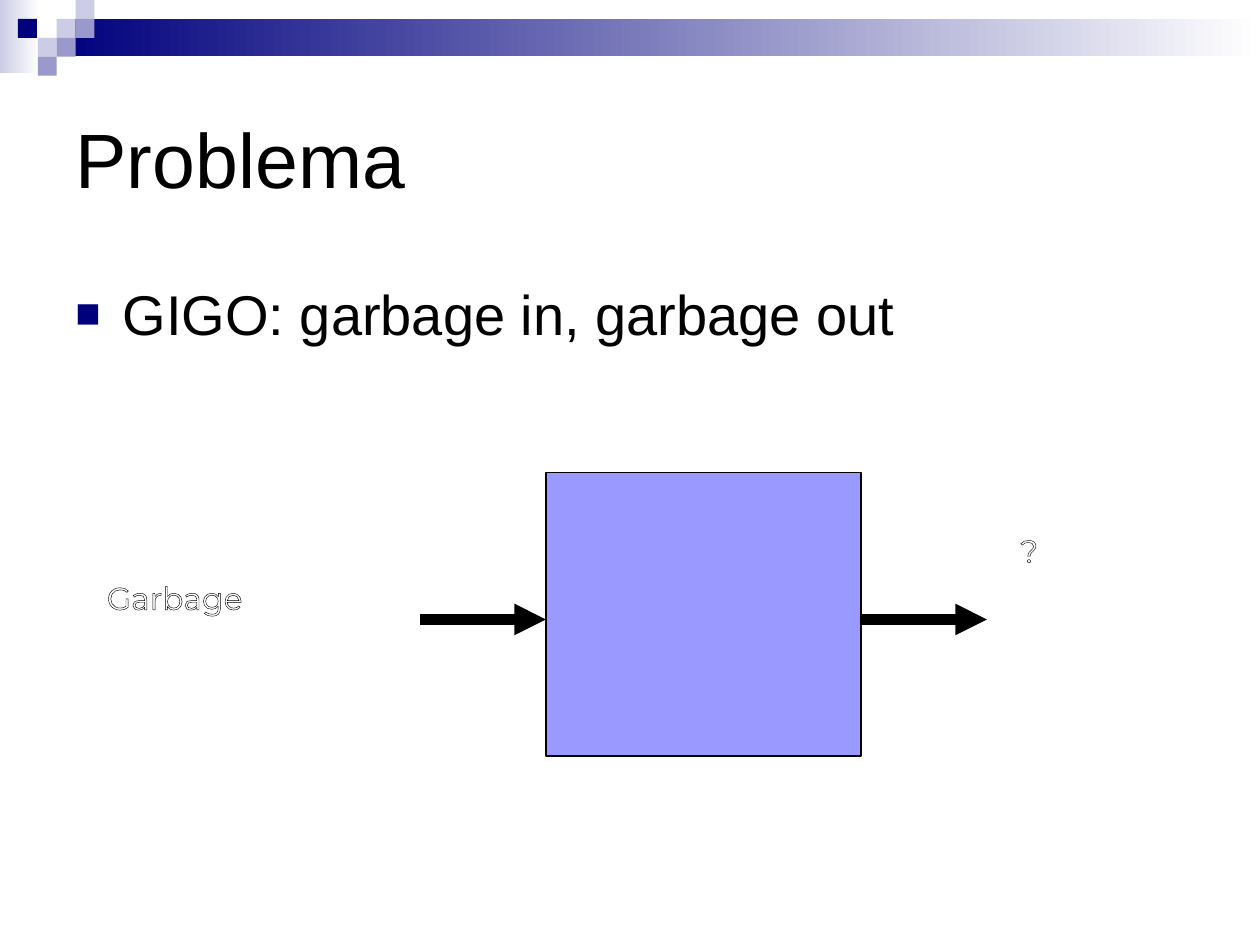
from dataclasses import dataclass

from lxml.etree import SubElement as Sub
from pptx import Presentation
from pptx.dml.color import RGBColor as Rgb
from pptx.enum.shapes import MSO_CONNECTOR as Conn, MSO_SHAPE as Kind
from pptx.enum.text import MSO_ANCHOR as Anchor, PP_ALIGN as Align
from pptx.oxml.ns import qn
from pptx.util import Pt


@dataclass(frozen=True)
class Theme:
    navy: str = "00007D"
    mid: str = "9999CC"
    pale: str = "CCCCE6"
    box: str = "9999FF"
    black: str = "000000"
    white: str = "FFFFFF"
    font: str = "Arial"
    label: str = "Montserrat"
    head: int = 44
    body: int = 32
    small: int = 18


THEME = Theme()


def rgb(code):
    return Rgb.from_string(code)


def add_rect(slide, area, fill, fade=None, edge=None):
    """Add a rectangle, fading from left to right if fade is given."""
    rect = slide.shapes.add_shape(Kind.RECTANGLE, *map(Pt, area))
    rect.shadow.inherit = False
    if fade:
        rect.fill.gradient()
        rect.fill.gradient_angle = 0
        for stop, code in zip(rect.fill.gradient_stops, (fill, fade)):
            stop.color.rgb = rgb(code)
    else:
        rect.fill.solid()
        rect.fill.fore_color.rgb = rgb(fill)
    if edge:
        rect.line.color.rgb = rgb(edge)
        rect.line.width = Pt(0.75)
    else:
        rect.line.fill.background()


def add_run(par, text, size, font, color):
    run = par.add_run()
    run.text = text
    run.font.size = Pt(size)
    run.font.name = font
    run.font.color.rgb = rgb(color)
    return run


def add_band(slide):
    """Draw the fading bar and the checkered corner."""
    add_rect(slide, (0, 0, 22.5, 42), THEME.pale, THEME.white)
    add_rect(slide, (32.5, 10.75, 687.5, 21.5), THEME.navy, THEME.white)
    side = 10.8
    tiles = [(3, 1, THEME.pale), (4, 0, THEME.pale), (4, 1, THEME.mid),
             (2, 2, THEME.pale), (0.95, 1, THEME.navy),
             (3, 2, THEME.mid), (2, 3, THEME.mid)]
    for col, row, color in tiles:
        add_rect(slide, (col * side, row * side, side, side), color)


def set_title(slide, text):
    title = slide.shapes.title
    title.left, title.top, title.width, title.height = map(
        Pt, (36, 36, 648, 108))
    title.text_frame.vertical_anchor = Anchor.MIDDLE
    par = title.text_frame.paragraphs[0]
    par.alignment = Align.LEFT
    add_run(par, text, THEME.head, THEME.font, THEME.black)


def add_point(slide, text):
    """Add the body text with its square bullet."""
    body = slide.shapes.add_textbox(*map(Pt, (36, 156, 648, 306)))
    body.text_frame.word_wrap = True
    par = body.text_frame.paragraphs[0]
    par.space_before = Pt(8)
    props = par._p.get_or_add_pPr()
    props.set("marL", str(Pt(27)))
    props.set("indent", str(Pt(-27)))
    Sub(Sub(props, qn("a:buClr")), qn("a:srgbClr"), val=THEME.navy)
    Sub(props, qn("a:buSzPct"), val="75000")
    Sub(props, qn("a:buFont"), typeface=THEME.font)
    Sub(props, qn("a:buChar"), char="■")
    add_run(par, text, THEME.body, THEME.font, THEME.black)


def add_arrow(slide, left, right, y):
    arrow = slide.shapes.add_connector(
        Conn.STRAIGHT, Pt(left), Pt(y), Pt(right), Pt(y))
    arrow.line.color.rgb = rgb(THEME.black)
    arrow.line.width = Pt(6)
    Sub(arrow.line._get_or_add_ln(), qn("a:tailEnd"), type="triangle")
    Sub(arrow._element.spPr, qn("a:effectLst"))


def add_label(slide, area, text):
    """Add white text with a thin black outline."""
    label = slide.shapes.add_textbox(*map(Pt, area))
    label.text_frame.word_wrap = False
    run = add_run(label.text_frame.paragraphs[0], text,
                  THEME.small, THEME.label, THEME.white)
    props = run._r.get_or_add_rPr()
    line = Sub(props, qn("a:ln"), w=str(Pt(0.75)))
    Sub(Sub(line, qn("a:solidFill")), qn("a:srgbClr"), val=THEME.black)
    props.insert(0, line)


def main():
    deck = Presentation()
    deck.slide_width, deck.slide_height = Pt(720), Pt(540)
    slide = deck.slides.add_slide(deck.slide_layouts[5])
    add_band(slide)
    set_title(slide, "Problema")
    add_point(slide, "GIGO: garbage in, garbage out")

    left, width, reach, mid = 312, 180, 72, 354
    right = left + width
    add_rect(slide, (left, 270, width, 162), THEME.box, edge=THEME.black)
    add_arrow(slide, left - reach, left, mid)
    add_label(slide, (54, 327, 165.6, 51), "Garbage")
    add_arrow(slide, right, right + reach, mid)
    add_label(slide, (576, 300, 90, 99), "?")
    deck.save("out.pptx")


if __name__ == "__main__":
    main()
